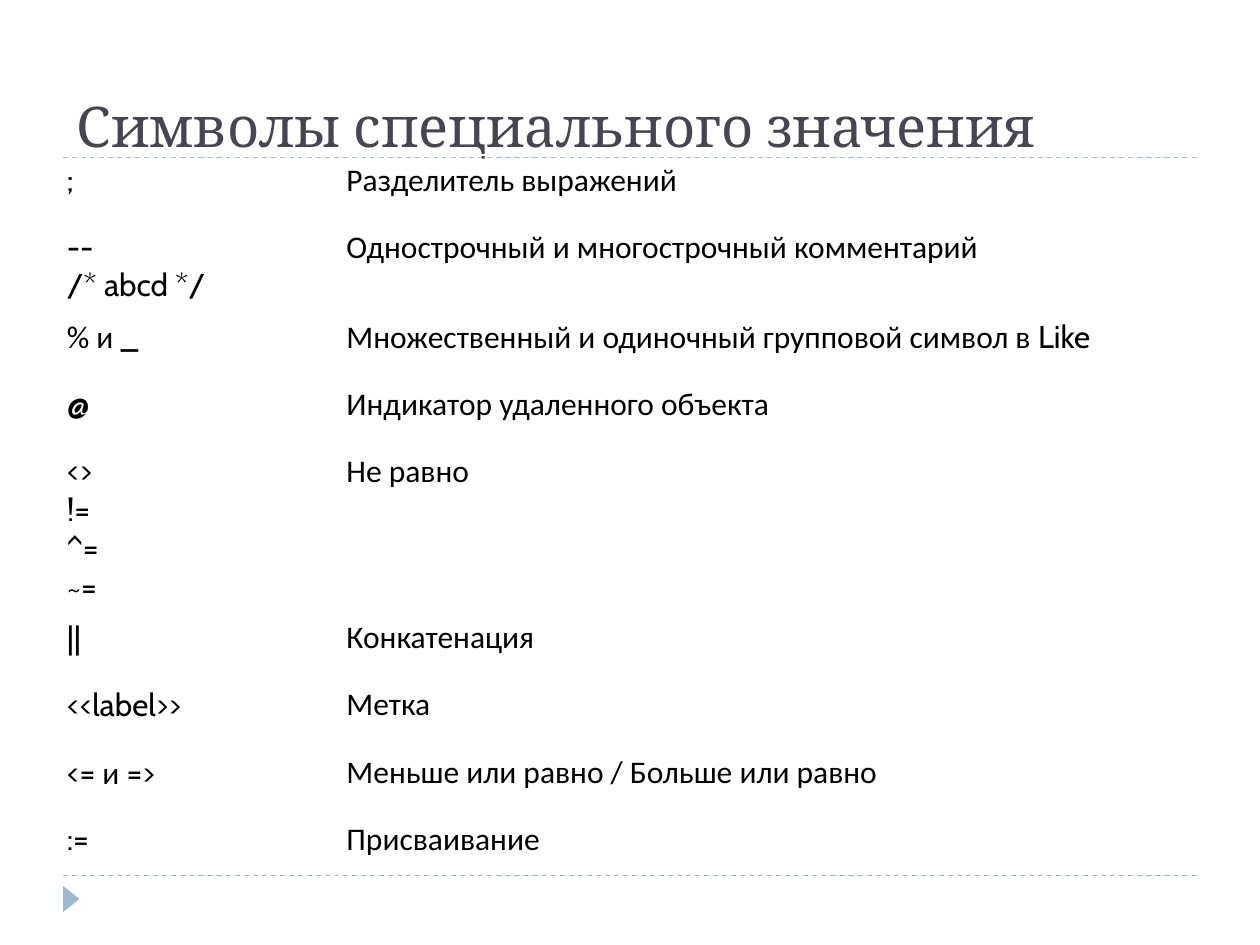
from dataclasses import dataclass

from lxml.etree import SubElement
from pptx import Presentation
from pptx.dml.color import RGBColor as RGB
from pptx.enum.dml import MSO_LINE
from pptx.enum.shapes import MSO_CONNECTOR, MSO_SHAPE
from pptx.enum.text import MSO_ANCHOR, MSO_AUTO_SIZE, PP_ALIGN
from pptx.oxml.ns import qn
from pptx.util import Inches, Pt


@dataclass(frozen=True)
class Theme:
    heading: RGB = RGB(0x46, 0x46, 0x53)
    body: RGB = RGB(0, 0, 0)
    accent: RGB = RGB(0x9F, 0xB8, 0xCD)
    heading_size: int = 32
    body_size: int = 18
    rule_width: float = 0.74
    heading_font: str = "Cambria"
    code_font: str = "Cabin"
    text_font: str = "Calibri"


THEME = Theme()
CODE, TEXT = THEME.code_font, THEME.text_font

HEADING = "Символы специального значения"
SYMBOLS = [
    (0.53, [[(";", CODE)]], [("Разделитель выражений", TEXT)]),
    (0.7, [[("--", CODE)], [("/* abcd */", CODE)]],
     [("Однострочный и многострочный комментарий", TEXT)]),
    (0.54, [[("% и ", TEXT), ("_", CODE)]],
     [("Множественный и одиночный групповой символ в ", TEXT), ("Like", CODE)]),
    (0.53, [[("@", CODE)]], [("Индикатор удаленного объекта", TEXT)]),
    (1.3, [[("<>", CODE)], [("!=", CODE)], [("^=", CODE)], [("~=", CODE)]],
     [("Не равно", TEXT)]),
    (0.53, [[("||", CODE)]], [("Конкатенация", TEXT)]),
    (0.54, [[("<<label>>", CODE)]], [("Метка", TEXT)]),
    (0.53, [[("<= ", CODE), ("и ", TEXT), ("=>", CODE)]],
     [("Меньше или равно / Больше или равно", TEXT)]),
    (0.53, [[(":=", CODE)]], [("Присваивание", TEXT)]),
]
COLUMN_WIDTHS = (2.22, 6.78)
RULE_LEVELS = (6.95, 1.25)


def write(frame, lines, *, size=THEME.body_size, color=THEME.body):
    for index, line in enumerate(lines):
        paragraph = frame.paragraphs[0] if index == 0 else frame.add_paragraph()
        paragraph.alignment = PP_ALIGN.LEFT
        for words, font in line:
            run = paragraph.add_run()
            run.text = words
            run.font.name = font
            run.font.size = Pt(size)
            run.font.color.rgb = color


deck = Presentation()
deck.slide_width, deck.slide_height = Inches(10), Inches(7.5)
slide = deck.slides.add_slide(deck.slide_layouts[5])
shapes = slide.shapes

for level in RULE_LEVELS:
    rule = shapes.add_connector(
        MSO_CONNECTOR.STRAIGHT, Inches(0.5), Inches(level), Inches(9.5), Inches(level))
    rule.line.color.rgb = THEME.accent
    rule.line.width = Pt(THEME.rule_width)
    rule.line.dash_style = MSO_LINE.DASH
    SubElement(rule.element.spPr, qn("a:effectLst"))

marker = shapes.add_shape(
    MSO_SHAPE.ISOSCELES_TRIANGLE, Inches(0.46), Inches(7.07), Inches(0.21), Inches(0.13))
marker.rotation = 90
marker.shadow.inherit = False
marker.fill.solid()
marker.fill.fore_color.rgb = THEME.accent
marker.line.fill.background()

heading = shapes.title
heading.left, heading.top = Inches(0.51), Inches(0.69)
heading.width, heading.height = Inches(9), Inches(0.62)
heading.text_frame.auto_size = MSO_AUTO_SIZE.NONE
heading.text_frame.vertical_anchor = MSO_ANCHOR.BOTTOM
write(heading.text_frame, [[(HEADING, THEME.heading_font)]],
      size=THEME.heading_size, color=THEME.heading)
heading.element.getparent().append(heading.element)

symbols = shapes.add_table(
    len(SYMBOLS), len(COLUMN_WIDTHS), Inches(0.43), Inches(1.23),
    Inches(sum(COLUMN_WIDTHS)), Inches(sum(row[0] for row in SYMBOLS))).table
symbols.first_row = symbols.horz_banding = False
for column, width in zip(symbols.columns, COLUMN_WIDTHS):
    column.width = Inches(width)
for row, (height, symbol, meaning) in zip(symbols.rows, SYMBOLS):
    row.height = Inches(height)
    for cell, lines in zip(row.cells, (symbol, [meaning])):
        cell.fill.background()
        cell.vertical_anchor = MSO_ANCHOR.TOP
        cell.margin_left = cell.margin_right = Inches(0.1)
        cell.margin_top = cell.margin_bottom = Inches(0.05)
        write(cell.text_frame, lines)

deck.save("out.pptx")
